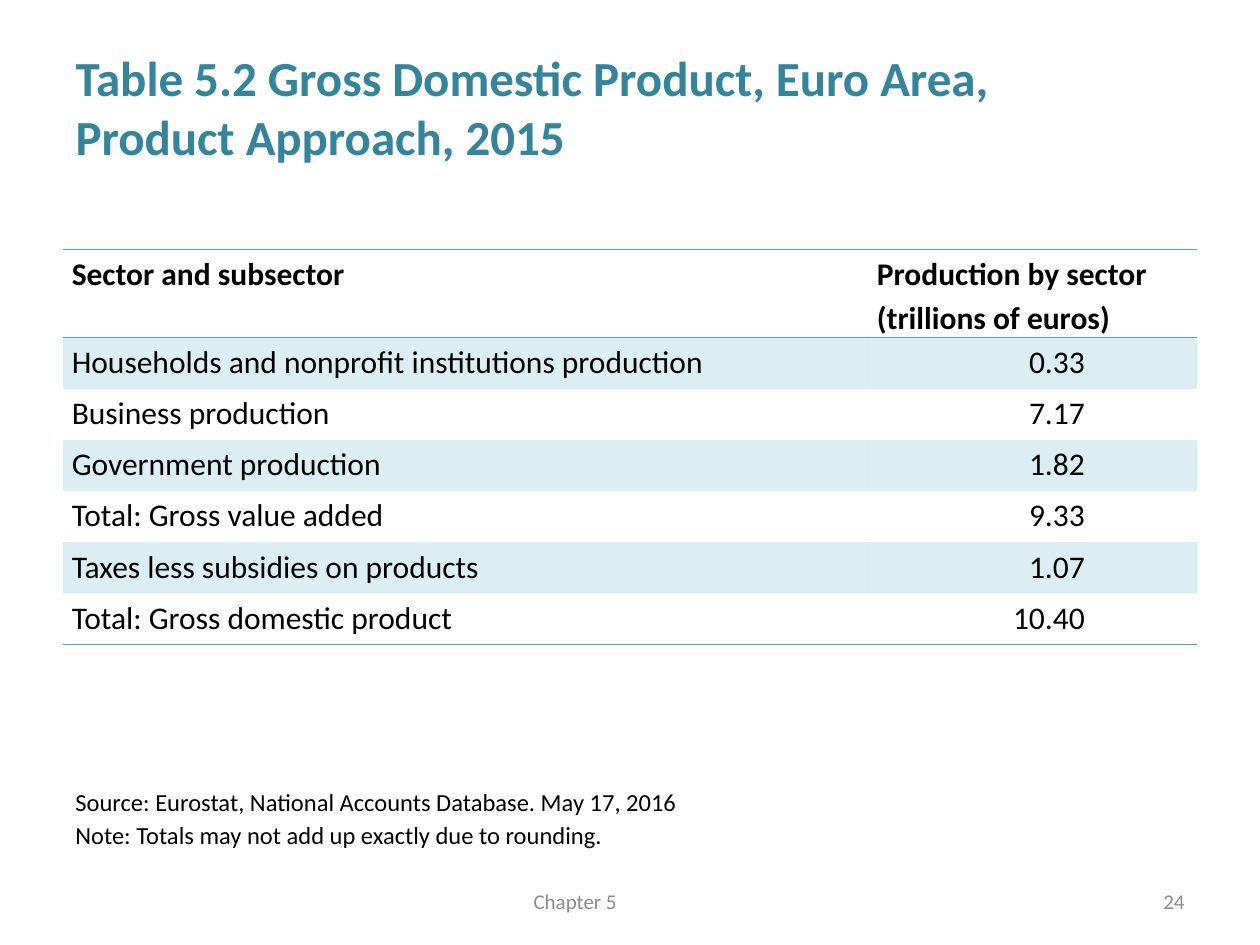
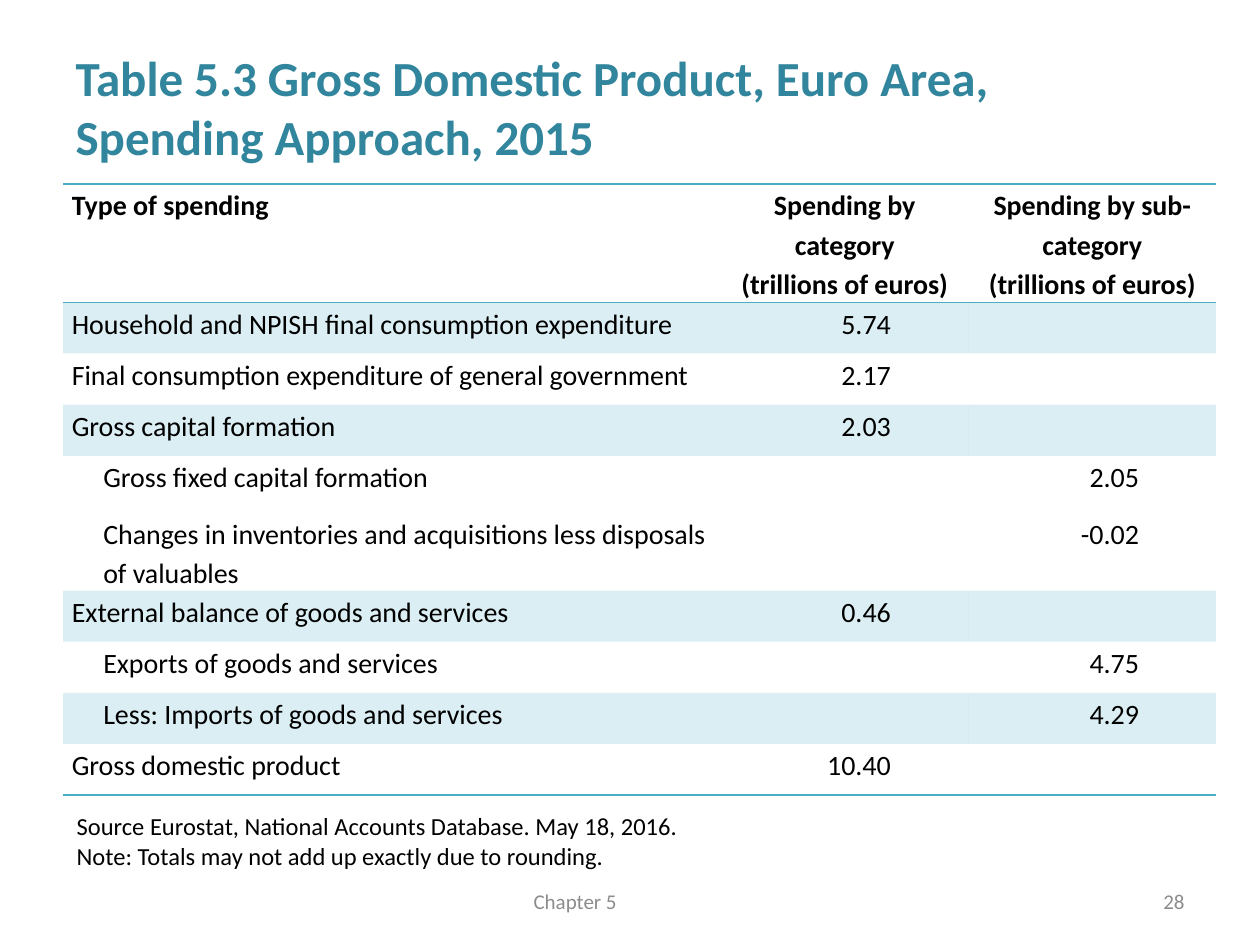
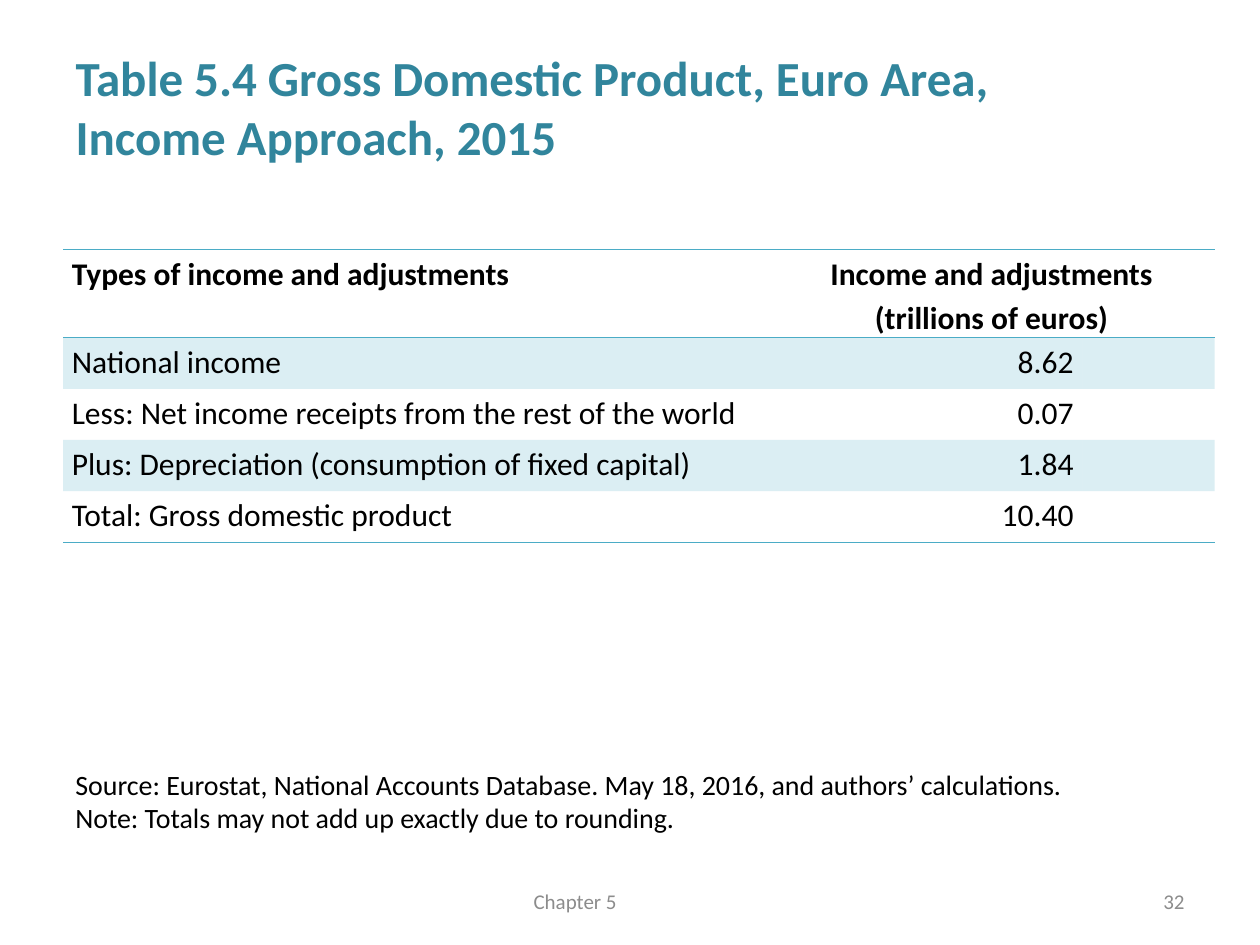
from dataclasses import dataclass

from lxml import etree
from pptx import Presentation
from pptx.dml.color import RGBColor
from pptx.enum.text import MSO_ANCHOR, PP_ALIGN
from pptx.oxml.ns import qn
from pptx.util import Emu, Inches, Pt

LEFT, CENTER, RIGHT = PP_ALIGN.LEFT, PP_ALIGN.CENTER, PP_ALIGN.RIGHT
TOP, MIDDLE = MSO_ANCHOR.TOP, MSO_ANCHOR.MIDDLE

TITLE_TEAL = RGBColor(0x31, 0x85, 0x9C)
ACCENT = RGBColor(0x4B, 0xAC, 0xC6)
FOOTER_GRAY = RGBColor(0x8C, 0x8C, 0x8C)
BLACK = RGBColor(0, 0, 0)

FONT = "Calibri"
SLIDE_WIDTH, SLIDE_HEIGHT = Inches(10), Inches(7.5)
GRID_COLUMNS, GRID_ROWS = 100, 75
TITLE_ONLY = 5
PLAIN_TABLE_STYLE = "{2D5ABB26-0587-4C30-8999-92F81FD0307C}"
BAND_OPACITY = "20000"
TABLE_LEFT = 5
LINE_HEIGHT = 4.06
CELL_MARGIN, INDENT = 0.7, 2.5
TABLE_SPACING = 1.15


@dataclass(frozen=True)
class Area:
    left: float
    top: float
    width: float
    height: float


@dataclass(frozen=True)
class TextStyle:
    size: float
    color: RGBColor = BLACK
    bold: bool = False
    align: PP_ALIGN = LEFT
    line_spacing: float = 1.0
    space_after: float = 0


@dataclass(frozen=True)
class Account:
    label: str
    figures: tuple[str, ...]
    indented: bool = False
    height: float = LINE_HEIGHT


@dataclass(frozen=True)
class GdpTable:
    top: float
    columns: tuple[float, ...]
    size: float
    header: Account
    header_align: PP_ALIGN
    accounts: tuple[Account, ...]


@dataclass(frozen=True)
class Approach:
    title: str
    number: int
    table: GdpTable
    note: str
    note_area: Area
    note_style: TextStyle


TITLE_AREA = Area(5, 3, 90, 10.9)
CHAPTER_AREA = Area(21.5, 69.5, 48.3, 4)
NUMBER_AREA = Area(71.7, 69.5, 23.3, 4)
TITLE_STYLE = TextStyle(28, TITLE_TEAL, bold=True)
CHAPTER_STYLE = TextStyle(12, FOOTER_GRAY, align=CENTER)
NUMBER_STYLE = TextStyle(12, FOOTER_GRAY, align=RIGHT)
ROUNDING_NOTE = "Note: Totals may not add up exactly due to rounding."

APPROACHES = (
    Approach(
        "Table 5.2 Gross Domestic Product, Euro Area,\vProduct Approach, 2015",
        24,
        GdpTable(
            19.8, (63.9, 17.9, 8.2), 18,
            Account("Sector and subsector",
                    ("Production by sector (trillions of euros)",), height=7),
            LEFT,
            (
                Account("Households and nonprofit institutions production", ("0.33",)),
                Account("Business production", ("7.17",)),
                Account("Government production", ("1.82",)),
                Account("Total: Gross value added", ("9.33",)),
                Account("Taxes less subsidies on products", ("1.07",)),
                Account("Total: Gross domestic product", ("10.40",)),
            ),
        ),
        "Source: Eurostat, National Accounts Database. May 17, 2016",
        Area(5, 61.6, 81.7, 6.4),
        TextStyle(14, line_spacing=1.15),
    ),
    Approach(
        "Table 5.3 Gross Domestic Product, Euro Area,\vSpending Approach, 2015",
        28,
        GdpTable(
            14.6, (52.2, 14.2, 5.5, 14.2, 5.4), 16,
            Account("Type of spending",
                    ("Spending by category\v(trillions of euros)",
                     "Spending by sub-category\v(trillions of euros)"), height=9.4),
            CENTER,
            (
                Account("Household and NPISH final consumption expenditure", ("5.74", "")),
                Account("Final consumption expenditure of general government", ("2.17", "")),
                Account("Gross capital formation", ("2.03", "")),
                Account("Gross fixed capital formation\n"
                        "Changes in inventories and acquisitions less disposals of valuables",
                        ("", "2.05\n-0.02"), indented=True, height=10.7),
                Account("External balance of goods and services", ("0.46", "")),
                Account("Exports of goods and services", ("", "4.75"), indented=True),
                Account("Less: Imports of goods and services", ("", "4.29"), indented=True),
                Account("Gross domestic product", ("10.40", "")),
            ),
        ),
        "Source Eurostat, National Accounts Database. May 18, 2016.",
        Area(5.1, 63.9, 70.2, 5.7),
        TextStyle(14),
    ),
    Approach(
        "Table 5.4 Gross Domestic Product, Euro Area,\vIncome Approach, 2015",
        32,
        GdpTable(
            19.8, (56, 24.9, 10.5), 18,
            Account("Types of income and adjustments",
                    ("Income and adjustments (trillions of euros)",), height=7),
            CENTER,
            (
                Account("National income", ("8.62",)),
                Account("Less: Net income receipts from the rest of the world", ("0.07",)),
                Account("Plus: Depreciation (consumption of fixed capital)", ("1.84",)),
                Account("Total: Gross domestic product", ("10.40",)),
            ),
        ),
        "Source: Eurostat, National Accounts Database. May 18, 2016, and authors’ calculations.",
        Area(5, 60.4, 83.6, 9.1),
        TextStyle(16),
    ),
)


def across(columns: float) -> Emu:
    return Emu(round(SLIDE_WIDTH * columns / GRID_COLUMNS))


def down(rows: float) -> Emu:
    return Emu(round(SLIDE_HEIGHT * rows / GRID_ROWS))


def bounds(area: Area) -> tuple[Emu, Emu, Emu, Emu]:
    return across(area.left), down(area.top), across(area.width), down(area.height)


def write(frame, text: str, style: TextStyle) -> None:
    frame.text = text
    for paragraph in frame.paragraphs:
        paragraph.alignment = style.align
        paragraph.line_spacing = style.line_spacing
        paragraph.space_before = Pt(0)
        paragraph.space_after = Pt(style.space_after)
        font = paragraph.font
        font.name, font.size, font.bold = FONT, Pt(style.size), style.bold
        font.color.rgb = style.color


def add_text(slide, area: Area, text: str, style: TextStyle, anchor: MSO_ANCHOR = TOP) -> None:
    frame = slide.shapes.add_textbox(*bounds(area)).text_frame
    frame.word_wrap = True
    frame.vertical_anchor = anchor
    write(frame, text, style)


def add_title(slide, text: str) -> None:
    title = slide.shapes.title
    title.left, title.top, title.width, title.height = bounds(TITLE_AREA)
    title.text_frame.vertical_anchor = MIDDLE
    write(title.text_frame, text, TITLE_STYLE)


def rule_cell(cell, sides: tuple[str, ...]) -> None:
    properties = cell._tc.get_or_add_tcPr()
    for side in sides:
        line = etree.SubElement(properties, qn(f"a:{side}"), w=str(Pt(1)))
        fill = etree.SubElement(line, qn("a:solidFill"))
        etree.SubElement(fill, qn("a:srgbClr"), val=str(ACCENT))


def shade_cell(cell, shaded: bool) -> None:
    if not shaded:
        cell.fill.background()
        return
    cell.fill.solid()
    cell.fill.fore_color.rgb = ACCENT
    color = cell._tc.tcPr.find(qn("a:solidFill")).find(qn("a:srgbClr"))
    etree.SubElement(color, qn("a:alpha"), val=BAND_OPACITY)


def add_gdp_table(slide, content: GdpTable) -> None:
    accounts = (content.header, *content.accounts)
    area = Area(TABLE_LEFT, content.top, sum(content.columns),
                sum(account.height for account in accounts))
    frame = slide.shapes.add_table(len(accounts), len(content.columns), *bounds(area))
    table = frame.table
    table.first_row = table.horz_banding = False
    table._tbl.tblPr.find(qn("a:tableStyleId")).text = PLAIN_TABLE_STYLE
    for column, width in zip(table.columns, content.columns):
        column.width = across(width)
    for first in range(1, len(content.columns), 2):
        table.cell(0, first).merge(table.cell(0, first + 1))

    last = len(accounts) - 1
    for index, account in enumerate(accounts):
        row = table.rows[index]
        row.height = down(account.height)
        is_header = index == 0
        sides = ("lnT", "lnB") if is_header else ("lnB",) if index == last else ()
        for cell in row.cells:
            cell.margin_left = cell.margin_right = across(CELL_MARGIN)
            cell.margin_top = cell.margin_bottom = 0
            rule_cell(cell, sides)
            shade_cell(cell, index % 2 == 1)
        if account.indented:
            row.cells[0].margin_left = across(CELL_MARGIN + INDENT)
        figure_align = content.header_align if is_header else RIGHT
        entries = [(0, account.label, LEFT)]
        entries += [(1 + 2 * i, figure, figure_align)
                    for i, figure in enumerate(account.figures) if figure]
        for column, text, align in entries:
            write(table.cell(index, column).text_frame, text,
                  TextStyle(content.size, bold=is_header, align=align,
                            line_spacing=TABLE_SPACING, space_after=10))


def add_approach(presentation, approach: Approach) -> None:
    slide = presentation.slides.add_slide(presentation.slide_layouts[TITLE_ONLY])
    add_title(slide, approach.title)
    add_text(slide, CHAPTER_AREA, "Chapter 5", CHAPTER_STYLE, MIDDLE)
    add_text(slide, NUMBER_AREA, str(approach.number), NUMBER_STYLE, MIDDLE)
    add_gdp_table(slide, approach.table)
    add_text(slide, approach.note_area, f"{approach.note}\n{ROUNDING_NOTE}", approach.note_style)


def main() -> None:
    presentation = Presentation()
    presentation.slide_width, presentation.slide_height = SLIDE_WIDTH, SLIDE_HEIGHT
    for approach in APPROACHES:
        add_approach(presentation, approach)
    presentation.save("out.pptx")


if __name__ == "__main__":
    main()
